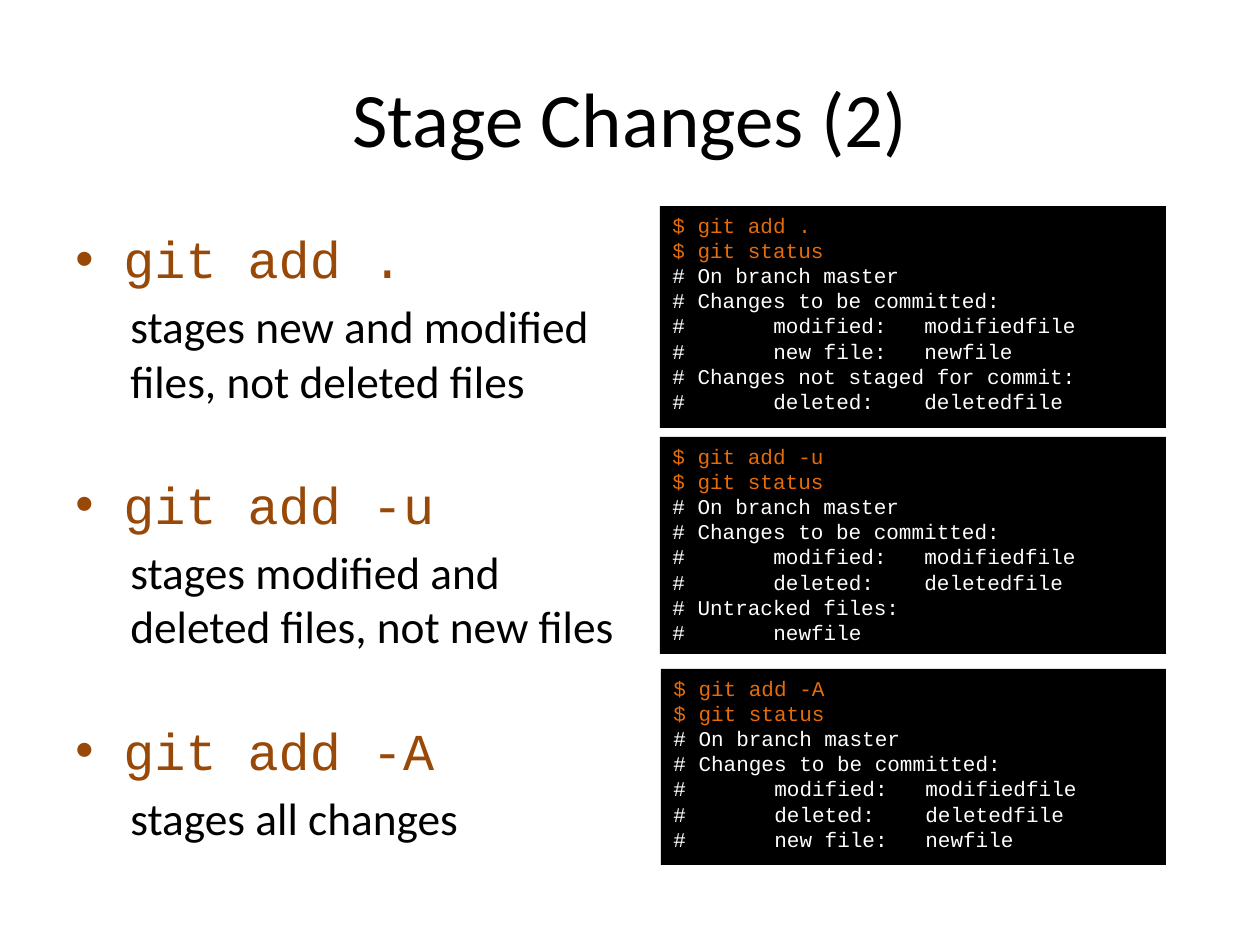
"""Build the slide on staging changes with three commands and their consoles."""
from dataclasses import dataclass

from lxml.etree import SubElement as Sub
from pptx import Presentation as Deck
from pptx.dml.color import RGBColor
from pptx.enum.shapes import MSO_SHAPE as Kind
from pptx.enum.text import MSO_ANCHOR as Anchor, PP_ALIGN as Align
from pptx.oxml.ns import qn
from pptx.util import Pt

PX = 914400 // 126
BLACK = RGBColor(0x00, 0x00, 0x00)
WHITE = RGBColor(0xFF, 0xFF, 0xFF)
BROWN = RGBColor(0x98, 0x48, 0x07)
ORANGE = RGBColor(0xE4, 0x6C, 0x0A)
SANS, MONO = "Calibri", "Courier New"
STOPS = (101, 252)
PROMPT = 2


@dataclass(frozen=True)
class Box:
    left: int
    top: int
    width: int
    height: int

    def emu(self) -> tuple[int, ...]:
        return tuple(n * PX for n in (self.left, self.top, self.width, self.height))


@dataclass(frozen=True)
class Stage:
    flag: str
    note: str
    box: Box
    lines: tuple[str, ...]


MOD = "#\tmodified:\tmodifiedfile"
NEW = "#\tnew file:\tnewfile"
GONE = "#\tdeleted:\tdeletedfile"
HEAD = ("$ git status", "# On branch master", "# Changes to be committed:", MOD)

STAGES = (
    Stage(".", "stages new and modified\nfiles, not deleted files", Box(660, 206, 506, 222),
          (NEW, "# Changes not staged for commit:", GONE)),
    Stage("-u", "stages modified and\ndeleted files, not new files", Box(660, 437, 506, 217),
          (GONE, "# Untracked files:", "#\tnewfile")),
    Stage("-A", "stages all changes", Box(661, 669, 505, 196), (GONE, NEW)),
)


def style(para, font: str, size: float, color: RGBColor) -> None:
    for run in para.runs:
        run.font.name = font
        run.font.size = Pt(size)
        run.font.color.rgb = color


def indent(para, left: int, first: int) -> None:
    props = para._p.get_or_add_pPr()
    props.set("marL", str(left * PX))
    props.set("indent", str(first * PX))


def bullet(para) -> None:
    props = para._p.get_or_add_pPr()
    Sub(props, qn("a:buFont")).set("typeface", "Arial")
    Sub(props, qn("a:buChar")).set("char", "•")


def tabs(para) -> None:
    stops = Sub(para._p.get_or_add_pPr(), qn("a:tabLst"))
    for stop in STOPS:
        tab = Sub(stops, qn("a:tab"))
        tab.set("pos", str(stop * PX))
        tab.set("algn", "l")


def title(slide, text: str, box: Box) -> None:
    frame = slide.shapes.add_textbox(*box.emu()).text_frame
    frame.word_wrap = True
    frame.vertical_anchor = Anchor.MIDDLE
    frame.text = text
    para = frame.paragraphs[0]
    para.alignment = Align.CENTER
    style(para, SANS, 44, BLACK)


def body(slide, box: Box) -> None:
    frame = slide.shapes.add_textbox(*box.emu()).text_frame
    frame.word_wrap = True
    frame.margin_right = 0
    for i, stage in enumerate(STAGES):
        para = frame.add_paragraph() if i else frame.paragraphs[0]
        para.text = f"git add {stage.flag}"
        para.space_before = Pt(37.5 if i else 6)
        indent(para, 48, -48)
        bullet(para)
        style(para, MONO, 29.6, BROWN)
        para = frame.add_paragraph()
        para.text = stage.note
        para.level = 1
        para.space_before = Pt(5.2)
        indent(para, 55, 0)
        style(para, SANS, 25.9, BLACK)


def panel(slide, stage: Stage) -> None:
    shape = slide.shapes.add_shape(Kind.RECTANGLE, *stage.box.emu())
    shape.shadow.inherit = False
    shape.fill.solid()
    shape.fill.fore_color.rgb = BLACK
    shape.line.fill.background()
    frame = shape.text_frame
    frame.word_wrap = True
    frame.vertical_anchor = Anchor.TOP
    frame.text = "\n".join((f"$ git add {stage.flag}", *HEAD, *stage.lines))
    for i, para in enumerate(frame.paragraphs):
        para.alignment = Align.LEFT
        tabs(para)
        style(para, MONO, 12, ORANGE if i < PROMPT else WHITE)


def main() -> None:
    deck = Deck()
    deck.slide_width, deck.slide_height = 1260 * PX, 945 * PX
    slide = deck.slides.add_slide(deck.slide_layouts[6])
    title(slide, "Stage Changes (2)", Box(63, 38, 1134, 158))
    body(slide, Box(63, 221, 567, 624))
    for stage in STAGES:
        panel(slide, stage)
    deck.save("out.pptx")


main()
